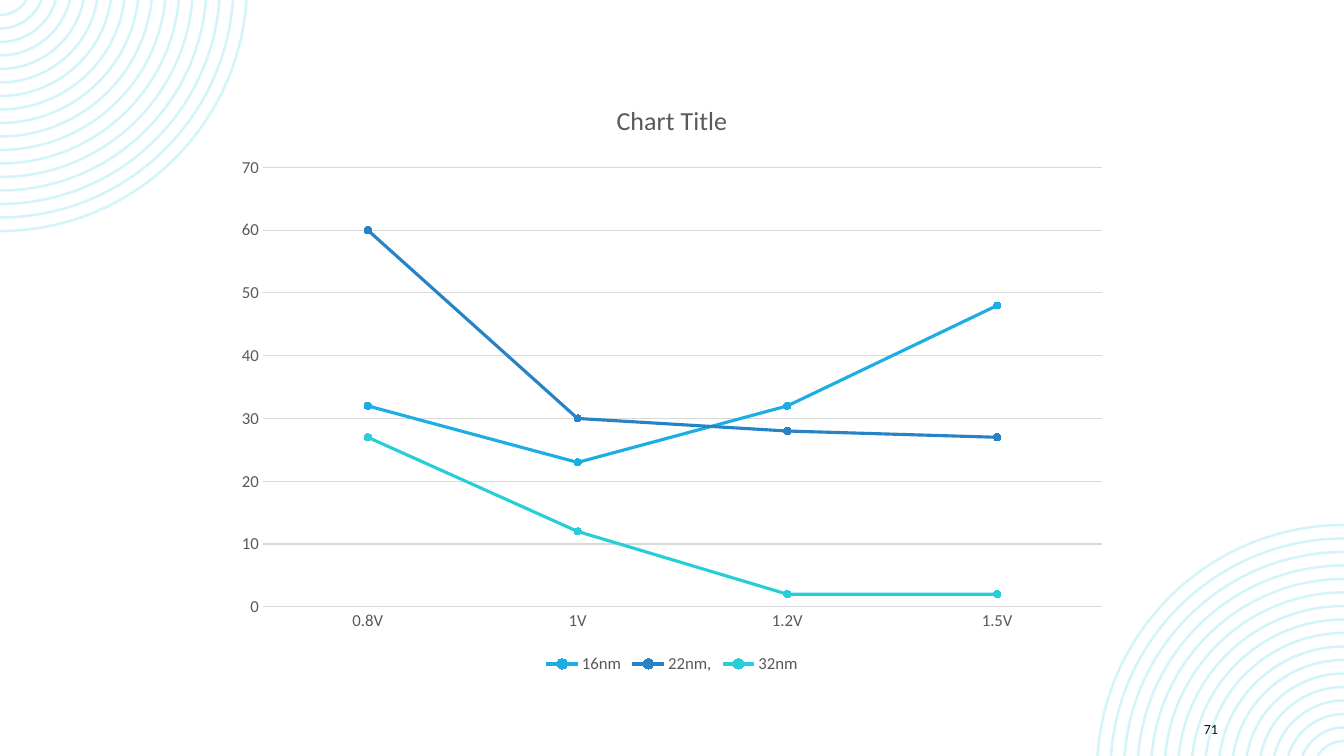
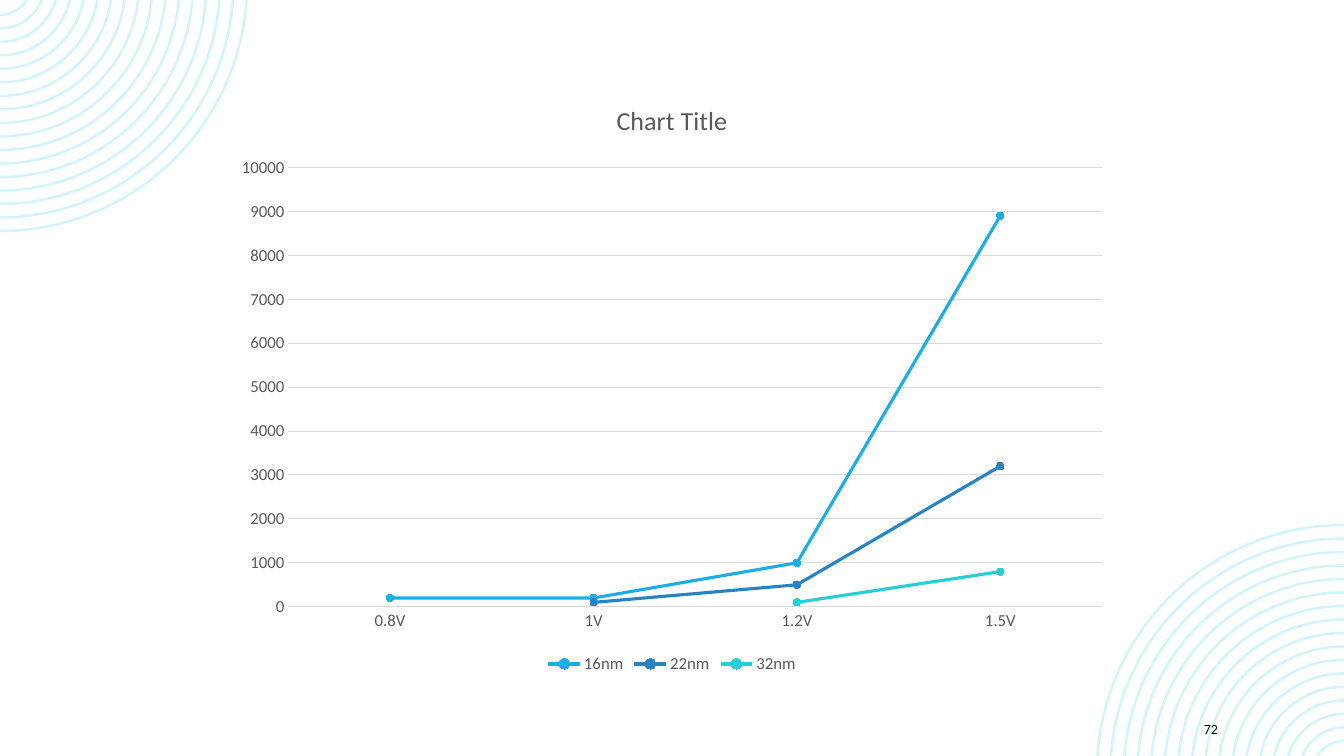
"""Build two line-chart slides framed by concentric corner rings."""
from math import asin, cos, pi, sin, tan

from pptx import Presentation
from pptx.chart.data import CategoryChartData
from pptx.dml.color import RGBColor
from pptx.enum.chart import XL_CHART_TYPE as ChartType
from pptx.enum.chart import XL_LEGEND_POSITION as LegendPosition
from pptx.enum.chart import XL_MARKER_STYLE as MarkerStyle
from pptx.enum.chart import XL_TICK_MARK as TickMark
from pptx.enum.text import MSO_ANCHOR as Anchor
from pptx.oxml.ns import qn
from pptx.util import Pt

CHART_TITLE = "Chart Title"
VOLTAGES = ["0.8V", "1V", "1.2V", "1.5V"]
SLIDES = [
    {
        "number": "71",
        "maximum": 70,
        "step": 10,
        "series": [
            ("16nm", [32, 23, 32, 48]),
            ("22nm,", [60, 30, 28, 27]),
            ("32nm", [27, 12, 2, 2]),
        ],
    },
    {
        "number": "72",
        "maximum": 10000,
        "step": 1000,
        "series": [
            ("16nm", [200, 200, 1000, 8900]),
            ("22nm", [None, 100, 500, 3200]),
            ("32nm", [None, None, 100, 800]),
        ],
    },
]

COLORS = {
    "background": "FFFFFF",
    "rings": "D4F5F7",
    "number": "0D0D0D",
    "label": "595959",
    "grid": "D9D9D9",
}
SERIES_COLORS = ["1CADE4", "2683C6", "27CED7"]
FONT = "Calibri"

WIDTH, HEIGHT = 1344, 756
EMU_PER_PX = 12192000 / WIDTH
CHART_BOX = (224, 80, 896, 598)
NUMBER_BOX = (1194, 714, 107, 30)
RING_COUNT, RING_MIN, RING_MAX = 17, 31, 247
RING_OFFSET = 16


def px(length):
    return round(length * EMU_PER_PX)


def box(lengths):
    return [px(length) for length in lengths]


def rgb(color):
    return RGBColor.from_string(color)


def style_font(font, size, color):
    for name, value in {"name": FONT, "size": Pt(size), "bold": False}.items():
        setattr(font, name, value)
    font.color.rgb = rgb(color)


def style_line(line, color, width):
    line.color.rgb = rgb(color)
    line.width = Pt(width)


def ring_curve(radius):
    start = asin(RING_OFFSET / radius)
    handle = radius * 4 / 3 * tan((pi / 2 - start) / 4)
    x, y = radius * cos(start), 0
    bottom = radius - RING_OFFSET
    first_handle = (x - handle * sin(start), y + handle * cos(start))
    return [(x, y), first_handle, (handle, bottom), (0, bottom)]


def bend_segments(shape):
    segments = list(shape._element.iter(qn("a:lnTo")))
    for first, second, third in zip(segments[::3], segments[1::3], segments[2::3]):
        curve = first.makeelement(qn("a:cubicBezTo"), {})
        first.addprevious(curve)
        for segment in (first, second, third):
            curve.append(segment[0])
            segment.getparent().remove(segment)


def add_rings(slide, opposite):
    def place(point):
        x, y = point
        return (px(WIDTH - x), px(HEIGHT - y)) if opposite else (px(x), px(y))

    pitch = (RING_MAX - RING_MIN) / (RING_COUNT - 1)
    radii = [RING_MAX - pitch * i for i in range(RING_COUNT)]
    curves = [[place(point) for point in ring_curve(radius)] for radius in radii]
    builder = slide.shapes.build_freeform(*curves[0][0])
    for index, curve in enumerate(curves):
        if index:
            builder.move_to(*curve[0])
        builder.add_line_segments(curve[1:], close=False)
    shape = builder.convert_to_shape()
    bend_segments(shape)
    shape.shadow.inherit = False
    shape.fill.background()
    style_line(shape.line, COLORS["rings"], 1.8)


def add_number(slide, number):
    frame = slide.shapes.add_textbox(*box(NUMBER_BOX)).text_frame
    frame.word_wrap = True
    frame.vertical_anchor = Anchor.MIDDLE
    run = frame.paragraphs[0].add_run()
    run.text = number
    style_font(run.font, 10, COLORS["number"])


def style_axes(chart, maximum, step):
    for axis in (chart.category_axis, chart.value_axis):
        axis.major_tick_mark = axis.minor_tick_mark = TickMark.NONE
        style_font(axis.tick_labels.font, 12, COLORS["label"])
    style_line(chart.category_axis.format.line, COLORS["grid"], 0.75)
    axis = chart.value_axis
    limits = {"minimum_scale": 0, "maximum_scale": maximum, "major_unit": step}
    for name, value in limits.items():
        setattr(axis, name, value)
    axis.format.line.fill.background()
    style_line(axis.major_gridlines.format.line, COLORS["grid"], 0.75)
    element = axis._element
    if element.find(qn("c:crossBetween")) is None:
        between = element.makeelement(qn("c:crossBetween"), {"val": "between"})
        element.find(qn("c:crosses")).addnext(between)


def style_series(series, color):
    series.smooth = False
    style_line(series.format.line, color, 2.25)
    marker = series.marker
    marker.style, marker.size = MarkerStyle.CIRCLE, 5
    marker.format.fill.solid()
    marker.format.fill.fore_color.rgb = rgb(color)
    style_line(marker.format.line, color, 0.75)


def add_line_chart(slide, content):
    data = CategoryChartData()
    data.categories = VOLTAGES
    for name, values in content["series"]:
        data.add_series(name, values)
    frame = slide.shapes.add_chart(ChartType.LINE_MARKERS, *box(CHART_BOX), data)
    chart = frame.chart
    chart.font.name = FONT
    chart.has_title = True
    run = chart.chart_title.text_frame.paragraphs[0].add_run()
    run.text = CHART_TITLE
    style_font(run.font, 18.6, COLORS["label"])
    chart.chart_title.include_in_layout = False
    chart.has_legend = True
    chart.legend.position = LegendPosition.BOTTOM
    chart.legend.include_in_layout = False
    style_font(chart.legend.font, 12, COLORS["label"])
    style_axes(chart, content["maximum"], content["step"])
    plot = chart.plots[0]
    plot.vary_by_categories = False
    for series, color in zip(plot.series, SERIES_COLORS):
        style_series(series, color)


def main():
    presentation = Presentation()
    presentation.slide_width, presentation.slide_height = px(WIDTH), px(HEIGHT)
    background = presentation.slide_master.background.fill
    background.solid()
    background.fore_color.rgb = rgb(COLORS["background"])
    for content in SLIDES:
        slide = presentation.slides.add_slide(presentation.slide_layouts[6])
        for opposite in (False, True):
            add_rings(slide, opposite)
        add_number(slide, content["number"])
        add_line_chart(slide, content)
    presentation.save("out.pptx")


if __name__ == "__main__":
    main()
